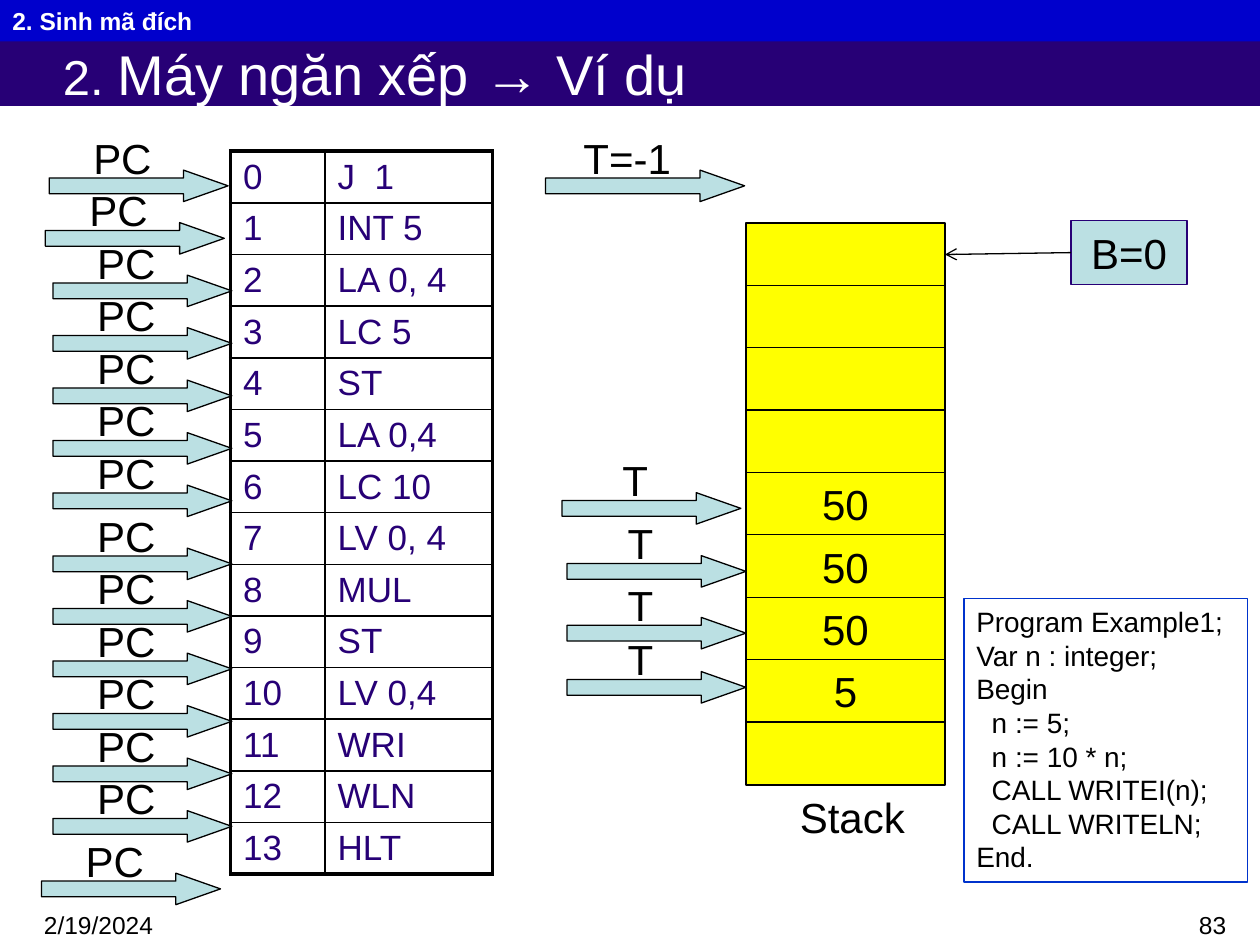
from pptx import Presentation
from pptx.dml.color import RGBColor
from pptx.enum.shapes import MSO_CONNECTOR, MSO_SHAPE
from pptx.enum.text import MSO_ANCHOR, PP_ALIGN
from pptx.oxml.ns import qn
from pptx.util import Inches, Pt
from lxml import etree

RECT, ARROW = MSO_SHAPE.RECTANGLE, MSO_SHAPE.RIGHT_ARROW
STRAIGHT = MSO_CONNECTOR.STRAIGHT
LEFT, CENTER, RIGHT = PP_ALIGN.LEFT, PP_ALIGN.CENTER, PP_ALIGN.RIGHT
TOP, MIDDLE = MSO_ANCHOR.TOP, MSO_ANCHOR.MIDDLE
FONT = "Arial"
C = {"black": "000000", "white": "FFFFFF", "purple": "270076", "blue": "0000CC",
     "pale": "BBE0E3", "yellow": "FFFF00", "frame": "0033CC"}

INSTRUCTIONS = ["J  1", "INT 5", "LA 0, 4", "LC 5", "ST", "LA 0,4", "LC 10",
                "LV 0, 4", "MUL", "ST", "LV 0,4", "WRI", "WLN", "HLT"]
STACK = ["", "", "", "", "50", "50", "50", "5", ""]
PROGRAM = ["Program Example1;", "Var n : integer;", "Begin", "  n := 5;",
           "  n := 10 * n;", "  CALL WRITEI(n);", "  CALL WRITELN;", "End."]
TITLE = [("2. ", 28), ("Máy ngăn xếp → Ví dụ", 32)]

PC_STEP = 5 / 12
PC_ARROWS = [(0.39, 1.35), (0.36, 1.35 + PC_STEP)]
PC_ARROWS += [(0.42, 1.35 + i * PC_STEP) for i in range(2, 7)]
PC_ARROWS += [(0.42, 4.35 + i * PC_STEP) for i in range(6)]
PC_ARROWS += [(0.33, 6.93)]
T_ARROWS = [(4.46, 3.91), (4.5, 4.41), (4.5, 4.9), (4.5, 5.33)]
POINTERS = [("PC", x, y, 1.42) for x, y in PC_ARROWS]
POINTERS += [("T=-1", 4.33, 1.35, 1.58)]
POINTERS += [("T", x, y, 1.42) for x, y in T_ARROWS]

ROW_H = 0.41
STACK_X, STACK_Y, STACK_W, STACK_H = 5.92, 1.77, 1.58, 0.5
STACK_STEP = 3.96 / 8


def rgb(name):
    return RGBColor.from_string(C[name])


def write(tf, text, size=24, color="black", bold=False, align=LEFT, anchor=TOP):
    tf.word_wrap = True
    tf.vertical_anchor = anchor
    lines = text if isinstance(text, list) else [text]
    for i, line in enumerate(lines):
        p = tf.paragraphs[0] if i == 0 else tf.add_paragraph()
        p.alignment = align
        for part, pts in line if isinstance(line, list) else [(line, size)]:
            r = p.add_run()
            r.text = part
            r.font.name = FONT
            r.font.size = Pt(pts)
            r.font.bold = bold
            r.font.color.rgb = rgb(color)


def add_text(shapes, text, x, y, w, h, **fmt):
    box = shapes.add_textbox(Inches(x), Inches(y), Inches(w), Inches(h))
    write(box.text_frame, text, **fmt)


def add_shape(shapes, kind, x, y, w, h, fill=None, line=None):
    sp = shapes.add_shape(kind, Inches(x), Inches(y), Inches(w), Inches(h))
    sp.shadow.inherit = False
    if fill:
        sp.fill.solid()
        sp.fill.fore_color.rgb = rgb(fill)
    else:
        sp.fill.background()
    if line:
        sp.line.color.rgb = rgb(line)
        sp.line.width = Pt(0.75)
    else:
        sp.line.fill.background()
    return sp


def add_pointer(shapes, label, x, y, w):
    group = shapes.add_group_shape().shapes
    sp = add_shape(group, ARROW, x, y, w, 0.25, "pale", "black")
    sp.adjustments[0] = 0.5
    sp.adjustments[1] = 1.417
    add_text(group, label, x + 0.12 * w, y - 0.35, 0.58 * w, 0.5, align=CENTER)


def set_borders(cell, **widths):
    tc_pr = cell._tc.get_or_add_tcPr()
    for i, side in enumerate("LRTB"):
        ln = etree.Element(qn("a:ln" + side), w=str(Pt(widths.get(side, 1))))
        fill = etree.SubElement(ln, qn("a:solidFill"))
        etree.SubElement(fill, qn("a:srgbClr"), val=C["black"])
        tc_pr.insert(i, ln)


def add_code_table(shapes):
    n = len(INSTRUCTIONS)
    frame = shapes.add_table(n, 2, Inches(1.83), Inches(1.2), Inches(2.08), Inches(n * ROW_H))
    table = frame.table
    table.first_row = table.horz_banding = False
    table.columns[0].width = Inches(0.75)
    table.columns[1].width = Inches(1.33)
    for i, instruction in enumerate(INSTRUCTIONS):
        table.rows[i].height = Inches(ROW_H)
        for j, text in enumerate([str(i), instruction]):
            cell = table.cell(i, j)
            cell.margin_top = cell.margin_bottom = Inches(0.03)
            cell.vertical_anchor = MIDDLE
            cell.fill.background()
            write(cell.text_frame, text, size=20, color="purple", anchor=MIDDLE)
            outer = {"R" if j else "L": 2.25}
            if i == 0:
                outer["T"] = 2.25
            if i == n - 1:
                outer["B"] = 2.25
            set_borders(cell, **outer)


def add_stack(shapes):
    cells = []
    for i, value in enumerate(STACK):
        sp = add_shape(shapes, RECT, STACK_X, STACK_Y + i * STACK_STEP, STACK_W, STACK_H,
                       "yellow", "black")
        if value:
            write(sp.text_frame, value, align=CENTER, anchor=MIDDLE)
        cells.append(sp)
    add_text(shapes, "Stack", 6.25, 6.23, 1.2, 0.5)
    return cells


def add_base(shapes, target):
    base = add_shape(shapes, RECT, 8.5, 1.75, 0.92, 0.51, "pale", "purple")
    write(base.text_frame, "B=0", align=CENTER, anchor=MIDDLE)
    line = shapes.add_connector(STRAIGHT, 0, 0, 0, 0)
    line.begin_connect(base, 1)
    line.end_connect(target, 3)
    line.line.color.rgb = rgb("black")
    line.line.width = Pt(0.75)
    etree.SubElement(line.line._get_or_add_ln(), qn("a:tailEnd"), type="arrow")
    etree.SubElement(line._element.spPr, qn("a:effectLst"))


def main():
    prs = Presentation()
    prs.slide_width, prs.slide_height = Inches(10), Inches(7.5)
    shapes = prs.slides.add_slide(prs.slide_layouts[6]).shapes

    add_text(shapes, "2/19/2024", 0.25, 7.17, 1.92, 0.33, size=14)
    add_text(shapes, "83", 7.75, 7.17, 2.08, 0.33, size=14, align=RIGHT)
    add_code_table(shapes)
    cells = add_stack(shapes)
    add_base(shapes, cells[0])
    for pointer in POINTERS:
        add_pointer(shapes, *pointer)

    program = add_shape(shapes, RECT, 7.65, 4.75, 2.25, 2.25, line="frame")
    write(program.text_frame, PROGRAM, size=16)

    title = add_shape(shapes, RECT, 0, 0.32, 10, 0.52, "purple")
    tf = title.text_frame
    tf.margin_left = Inches(0.5)
    tf.margin_top = tf.margin_bottom = 0
    write(tf, [TITLE], color="white", anchor=MIDDLE)

    header = add_shape(shapes, RECT, 0, 0, 10, 0.33, "blue")
    write(header.text_frame, "2. Sinh mã đích", size=14, color="white", bold=True, anchor=MIDDLE)

    prs.save("out.pptx")


if __name__ == "__main__":
    main()
